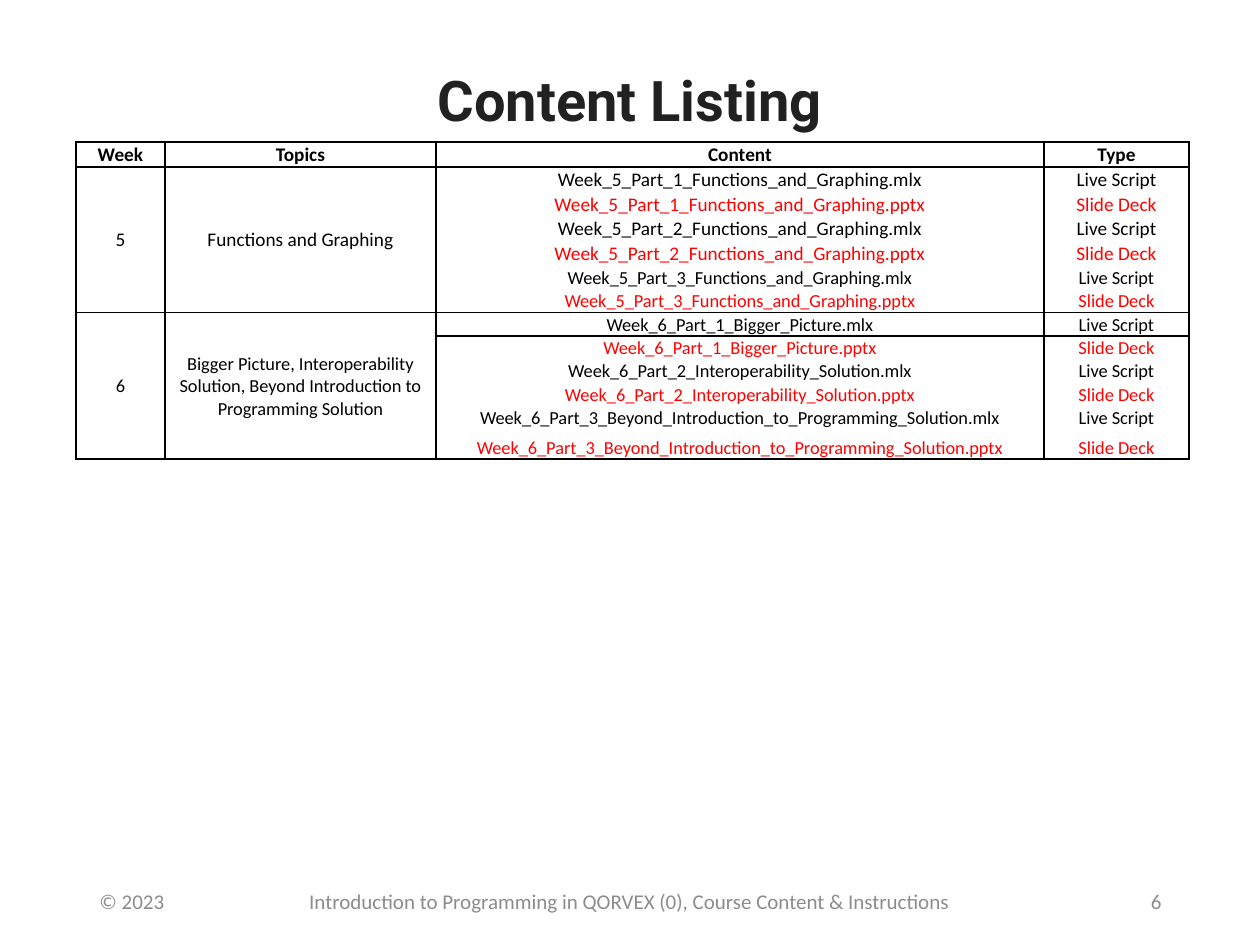
import pptx
import pptx.util
import pptx.dml.color
import pptx.enum.text
import pptx.oxml
import pptx.oxml.ns

TITLE = "Content Listing"
HEADINGS = ["Week", "Topics", "Content", "Type"]
WEEKS = [
    {"week": "5", "topic": "Functions and Graphing", "size": 11,
     "parts": [("Functions_and_Graphing", 11),
               ("Functions_and_Graphing", 11),
               ("Functions_and_Graphing", 10.5)]},
    {"week": "6", "size": 10.5,
     "topic": "Bigger Picture, Interoperability Solution, "
              "Beyond Introduction to Programming Solution",
     "parts": [("Bigger_Picture", 10.5),
               ("Interoperability_Solution", 10.5),
               ("Beyond_Introduction_to_Programming_Solution", 10.5)]},
]
FILES = [("mlx", "Live Script", "ink"), ("pptx", "Slide Deck", "accent")]
ALIGN = pptx.enum.text.PP_ALIGN
ANCHOR = pptx.enum.text.MSO_ANCHOR
FOOTERS = [
    ("© 2023", 87, 284, ALIGN.LEFT),
    ("Introduction to Programming in QORVEX (0), Course Content & Instructions",
     234, 791, ALIGN.CENTER),
    ("6", 890, 284, ALIGN.RIGHT),
]
THEME = {
    "title": "212121", "ink": "000000", "accent": "FF0000", "footer": "8C8C8C",
    "title_font": "Roboto", "body_font": "Calibri",
    "title_size": 32, "heading_size": 11, "footer_size": 12, "border": 1,
}
COLUMNS = [89, 271, 608, 145]
HEADING_ROW, FILE_ROW, LAST_ROW = 24, 23, 30
NO_STYLE = "{2D5ABB26-0587-4C30-8999-92F81FD0307C}"


def px(n):
    return pptx.util.Emu(round(n * 914400 / 126))


def write(frame, text, size, color, font="body_font", bold=False,
          align=ALIGN.CENTER):
    frame.text = text
    paragraph = frame.paragraphs[0]
    paragraph.alignment = align
    style = paragraph.runs[0].font
    style.name = THEME[font]
    style.size = pptx.util.Pt(size)
    style.bold = bold
    style.color.rgb = pptx.dml.color.RGBColor.from_string(THEME[color])
    return paragraph


def draw_borders(cell, sides):
    properties = cell._tc.get_or_add_tcPr()
    for side in "LRTB":
        paint = (f'<a:solidFill><a:srgbClr val="{THEME["ink"]}"/></a:solidFill>'
                 if side in sides else "<a:noFill/>")
        properties.append(pptx.oxml.parse_xml(
            f'<a:ln{side} {pptx.oxml.ns.nsdecls("a")} '
            f'w="{pptx.util.Pt(THEME["border"])}">{paint}</a:ln{side}>'))
    cell.fill.background()


def fill_cell(cell, text, size, color="ink", bold=False, anchor=ANCHOR.MIDDLE):
    write(cell.text_frame, text, size, color, bold=bold)
    cell.vertical_anchor = anchor
    cell.margin_left = cell.margin_right = cell.margin_top = px(1)
    cell.margin_bottom = 0


def add_listing(slide):
    group = len(FILES) * len(WEEKS[0]["parts"])
    count = 1 + group * len(WEEKS)
    heights = [HEADING_ROW] + [FILE_ROW] * (count - 2) + [LAST_ROW]
    frame = slide.shapes.add_table(count, len(COLUMNS), px(76), px(142),
                                   px(sum(COLUMNS)), px(sum(heights)))
    listing = frame.table
    listing._tbl.tblPr.find(pptx.oxml.ns.qn("a:tableStyleId")).text = NO_STYLE
    listing.first_row = listing.horz_banding = False
    for column, width in zip(listing.columns, COLUMNS):
        column.width = px(width)
    for row, height in zip(listing.rows, heights):
        row.height = px(height)

    for column, heading in enumerate(HEADINGS):
        fill_cell(listing.cell(0, column), heading, THEME["heading_size"], bold=True)

    for index, entry in enumerate(WEEKS):
        first = 1 + index * group
        for column, text in enumerate((entry["week"], entry["topic"])):
            merged = listing.cell(first, column)
            merged.merge(listing.cell(first + group - 1, column))
            fill_cell(merged, text, entry["size"])
        row = first
        for number, (name, size) in enumerate(entry["parts"], 1):
            for extension, kind, color in FILES:
                file = f"Week_{entry['week']}_Part_{number}_{name}.{extension}"
                for column, text in ((2, file), (3, kind)):
                    fill_cell(listing.cell(row, column), text, size, color,
                              anchor=ANCHOR.BOTTOM)
                row += 1

    ruled = {0, *range(group, count, group)}
    first_file_of_last_week = count - group
    for row in range(count):
        for column in range(len(COLUMNS)):
            cell = listing.cell(row, column)
            lines = ruled | ({first_file_of_last_week} if column > 1 else set())
            sides = "LR"
            if row == 0 or row - 1 in lines:
                sides += "T"
            if row in lines or cell.is_merge_origin:
                sides += "B"
            draw_borders(cell, sides)


def main():
    deck = pptx.Presentation()
    deck.slide_width, deck.slide_height = px(1260), px(945)
    slide = deck.slides.add_slide(deck.slide_layouts[5])

    title = slide.shapes.title
    title.left, title.top, title.width, title.height = map(px, (87, 50, 1086, 107))
    title.text_frame.vertical_anchor = ANCHOR.MIDDLE
    heading = write(title.text_frame, TITLE, THEME["title_size"], "title",
                    font="title_font", bold=True)
    heading.line_spacing = 0.9

    add_listing(slide)

    for text, left, width, align in FOOTERS:
        footer = slide.shapes.add_textbox(px(left), px(876), px(width), px(50))
        footer.text_frame.word_wrap = True
        footer.text_frame.vertical_anchor = ANCHOR.MIDDLE
        write(footer.text_frame, text, THEME["footer_size"], "footer", align=align)

    deck.save("out.pptx")


if __name__ == "__main__":
    main()
